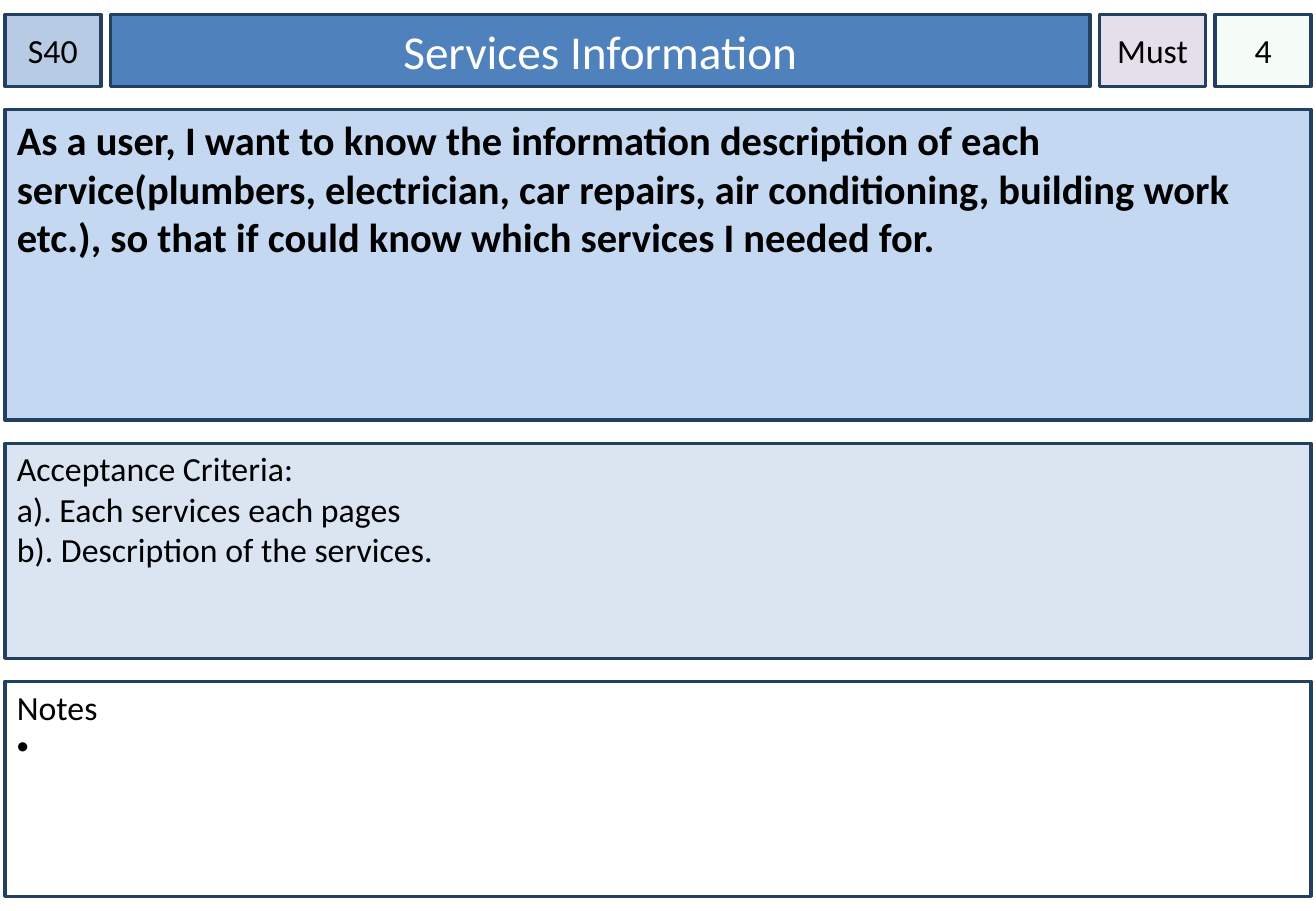
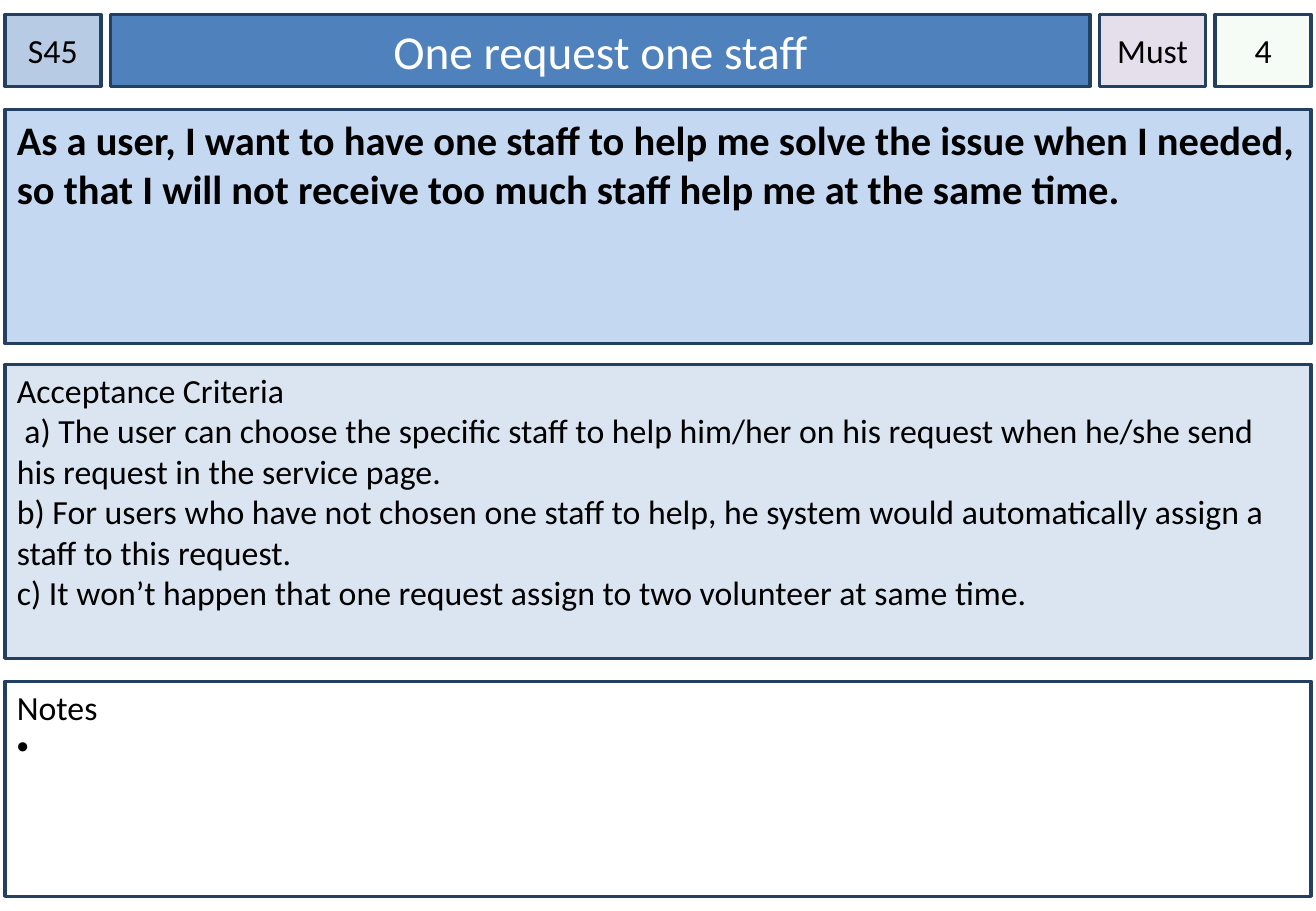
import dataclasses

import pptx
import pptx.dml.color
import pptx.enum.shapes
import pptx.enum.text
import pptx.oxml
import pptx.oxml.ns
import pptx.util

Inches = pptx.util.Inches
Pt = pptx.util.Pt
ALIGN = pptx.enum.text.PP_ALIGN
ANCHOR = pptx.enum.text.MSO_ANCHOR


@dataclasses.dataclass(frozen=True)
class Theme:
    font: str = "Calibri"
    ink: str = "000000"
    light: str = "FFFFFF"
    edge: str = "244061"
    code: str = "B7CCE4"
    title: str = "4F81BD"
    rank: str = "E5DFEC"
    points: str = "CCF0CD"
    story: str = "C5D8F1"
    tests: str = "DAE5F1"
    notes: str = "FFFFFF"
    big: int = 28
    lead: int = 24
    text: int = 20
    rule: float = 2


@dataclasses.dataclass(frozen=True)
class Box:
    left: float
    top: float
    width: float
    height: float


@dataclasses.dataclass(frozen=True)
class Card:
    code: str
    title: str
    rank: str
    points: str
    story: str
    tests: tuple
    story_high: float
    tests_high: float


THEME = Theme()
HEAD = Box(0.04, 0.12, 10.75, 0.59)
BODY = Box(0.04, 0.9, 10.75, 6.48)
HEAD_GAP = 0.08
BODY_GAP = 0.19
NOTES_HIGH = 1.77

CARDS = (
    Card(
        "S40", "Services Information", "Must", "4",
        "As a user, I want to know the information description of each "
        "service(plumbers, electrician, car repairs, air conditioning, "
        "building work etc.), so that if could know which services I needed for.",
        (
            "Acceptance Criteria:",
            "a). Each services each pages",
            "b). Description of the services.",
        ),
        2.56, 1.77,
    ),
    Card(
        "S45", "One request one staff", "Must", "4",
        "As a user, I want to have one staff to help me solve the issue when I "
        "needed, so that I will not receive too much staff help me at the same time.",
        (
            "Acceptance Criteria",
            " a) The user can choose the specific staff to help him/her on his "
            "request when he/she send his request in the service page.",
            "b) For users who have not chosen one staff to help, he system would "
            "automatically assign a staff to this request.",
            "c) It won’t happen that one request assign to two volunteer at same time.",
        ),
        1.93, 2.42,
    ),
)


def color(code):
    return pptx.dml.color.RGBColor.from_string(code)


def add_box(slide, box, fill, side, top):
    shape = slide.shapes.add_shape(
        pptx.enum.shapes.MSO_SHAPE.RECTANGLE,
        Inches(box.left), Inches(box.top), Inches(box.width), Inches(box.height),
    )
    shape.shadow.inherit = False
    shape.fill.solid()
    shape.fill.fore_color.rgb = color(fill)
    shape.line.color.rgb = color(THEME.edge)
    shape.line.width = Pt(THEME.rule)
    frame = shape.text_frame
    frame.word_wrap = True
    frame.margin_left = frame.margin_right = Inches(side)
    frame.margin_top = Inches(top)
    frame.margin_bottom = Inches(0.05)
    return shape


def add_text(para, text, size, ink=THEME.ink, bold=False):
    run = para.add_run()
    run.text = text
    run.font.name = THEME.font
    run.font.size = Pt(size)
    run.font.bold = bold
    run.font.color.rgb = color(ink)


def add_label(slide, box, text, fill, size=THEME.text, ink=THEME.ink, side=0):
    shape = add_box(slide, box, fill, side, 0.05)
    shape.text_frame.vertical_anchor = ANCHOR.MIDDLE
    para = shape.text_frame.paragraphs[0]
    para.alignment = ALIGN.CENTER
    add_text(para, text, size, ink)
    return shape


def add_panel(slide, box, lines, fill, size=THEME.text, bold=False, top=0.04):
    frame = add_box(slide, box, fill, 0.1, top).text_frame
    frame.vertical_anchor = ANCHOR.TOP
    for index, line in enumerate(lines):
        para = frame.add_paragraph() if index else frame.paragraphs[0]
        para.alignment = ALIGN.LEFT
        add_text(para, line, size, bold=bold)
    return frame


def set_alpha(shape, percent):
    tint = shape.fill._xPr.find(".//" + pptx.oxml.ns.qn("a:srgbClr"))
    alpha = pptx.oxml.parse_xml(
        f'<a:alpha {pptx.oxml.ns.nsdecls("a")} val="{percent * 1000}"/>'
    )
    tint.append(alpha)


def add_bullet(frame):
    para = frame.add_paragraph()
    para.alignment = ALIGN.LEFT
    props = para._p.get_or_add_pPr()
    props.set("marL", str(Inches(0.2)))
    props.set("indent", str(Inches(-0.2)))
    space = pptx.oxml.ns.nsdecls("a")
    for part in (
        f'<a:buClr {space}><a:srgbClr val="{THEME.ink}"/></a:buClr>',
        f'<a:buFont {space} typeface="Arial"/>',
        f'<a:buChar {space} char="•"/>',
    ):
        props.append(pptx.oxml.parse_xml(part))
    add_text(para, " ", THEME.text)


def add_head(slide, box, card):
    code, rank, points = 0.79, 0.87, 0.79
    title = box.width - code - rank - points - 3 * HEAD_GAP
    cells, left = [], box.left
    for width in (code, title, rank, points):
        cells.append(Box(left, box.top, width, box.height))
        left += width + HEAD_GAP
    add_label(slide, cells[0], card.code, THEME.code)
    add_label(slide, cells[1], card.title, THEME.title, THEME.big, THEME.light, 0.1)
    add_label(slide, cells[2], card.rank, THEME.rank)
    set_alpha(add_label(slide, cells[3], card.points, THEME.points), 20)


def add_body(slide, box, card):
    notes_top = box.top + box.height - NOTES_HIGH
    tests_top = notes_top - BODY_GAP - card.tests_high
    story = Box(box.left, box.top, box.width, card.story_high)
    tests = Box(box.left, tests_top, box.width, card.tests_high)
    notes = Box(box.left, notes_top, box.width, NOTES_HIGH)
    add_panel(slide, story, [card.story], THEME.story, THEME.lead, True, 0.05)
    add_panel(slide, tests, card.tests, THEME.tests)
    add_bullet(add_panel(slide, notes, ["Notes"], THEME.notes))


def main():
    deck = pptx.Presentation()
    deck.slide_width = Inches(10.83)
    deck.slide_height = Inches(7.5)
    for card in CARDS:
        slide = deck.slides.add_slide(deck.slide_layouts[6])
        add_head(slide, HEAD, card)
        add_body(slide, BODY, card)
    deck.save("out.pptx")


if __name__ == "__main__":
    main()
